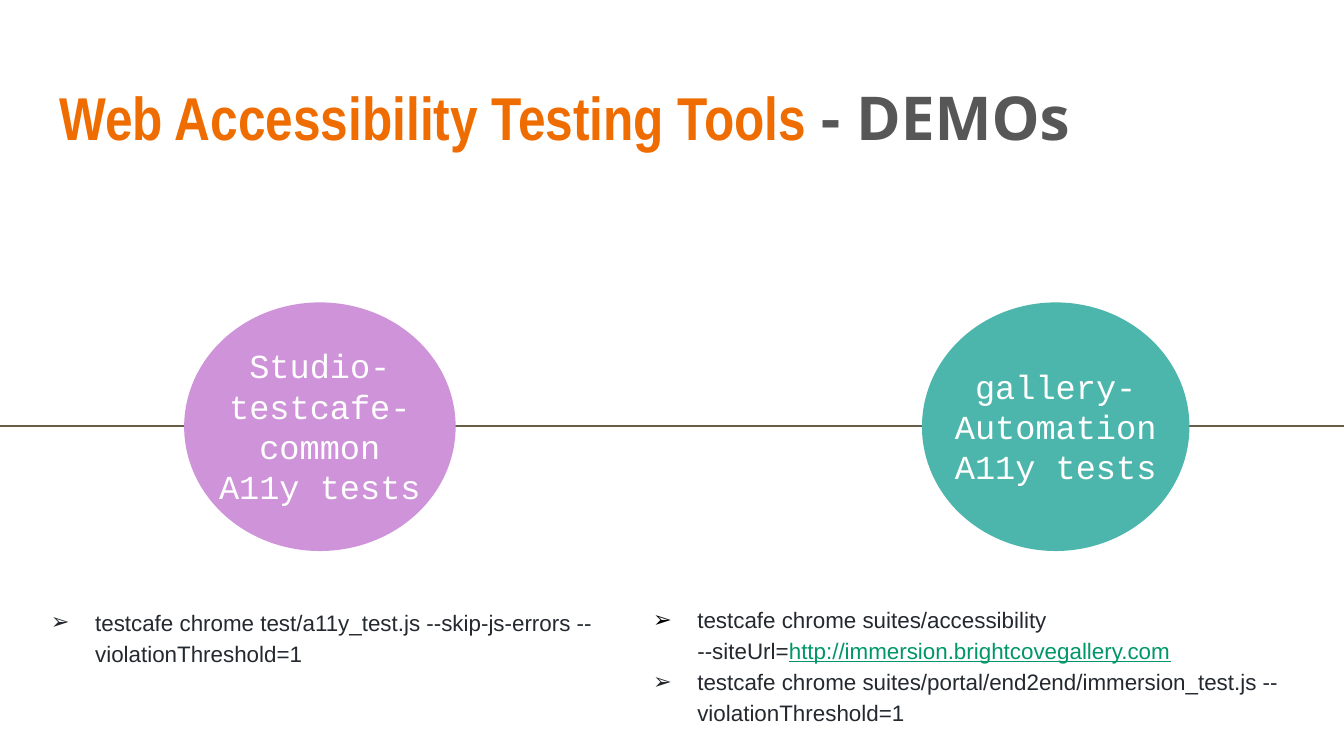
from lxml import etree
from pptx import Presentation
from pptx.dml.color import RGBColor
from pptx.enum.shapes import MSO_CONNECTOR, MSO_SHAPE
from pptx.enum.text import MSO_ANCHOR, MSO_AUTO_SIZE, PP_ALIGN
from pptx.oxml.ns import qn
from pptx.util import Inches, Pt

OVAL = MSO_SHAPE.OVAL
STRAIGHT = MSO_CONNECTOR.STRAIGHT
TOP, MIDDLE = MSO_ANCHOR.TOP, MSO_ANCHOR.MIDDLE
LEFT, CENTER = PP_ALIGN.LEFT, PP_ALIGN.CENTER
NO_FIT = MSO_AUTO_SIZE.NONE

INK = "24292F"
AXIS = 3.17
WIDE = Inches(10)


def rgb(code):
    return RGBColor.from_string(code)


def style(font, name, size, color):
    font.name = name
    font.size = Pt(size)
    font.color.rgb = rgb(color)


def set_frame(frame, anchor):
    frame.word_wrap = True
    frame.auto_size = NO_FIT
    frame.vertical_anchor = anchor
    frame.margin_left = frame.margin_right = Inches(0.1)
    frame.margin_top = frame.margin_bottom = Inches(0.1)


def add_box(slide, left, top, width, height, anchor):
    box = slide.shapes.add_textbox(
        Inches(left), Inches(top), Inches(width), Inches(height))
    set_frame(box.text_frame, anchor)
    return box.text_frame


def set_title(slide):
    title = slide.shapes.title
    title.left, title.top = Inches(0.34), Inches(0.48)
    title.width, title.height = Inches(9.32), Inches(0.77)
    set_frame(title.text_frame, MIDDLE)
    para = title.text_frame.paragraphs[0]
    para.alignment = LEFT
    parts = (("Web Accessibility Testing Tools ", "Arial Narrow", "EF6C00"),
             ("- DEMOs", "Open Sans", "575757"))
    for text, name, color in parts:
        run = para.add_run()
        run.text = text
        style(run.font, name, 32.4, color)
        run.font.bold = True


def add_axis(slide):
    line = slide.shapes.add_connector(
        STRAIGHT, Inches(-0.01), Inches(AXIS), WIDE, Inches(AXIS))
    line.line.color.rgb = rgb("695D46")
    line.line.width = Pt(1.5)
    etree.SubElement(line._element.spPr, qn("a:effectLst"))


def add_stop(slide, left, width, color, label_left, label_width, text):
    """Draw a circle on the axis with its label over it."""
    oval = slide.shapes.add_shape(
        OVAL, Inches(left), Inches(2.25), Inches(width), Inches(1.85))
    oval.shadow.inherit = False
    oval.fill.solid()
    oval.fill.fore_color.rgb = rgb(color)
    oval.line.fill.background()

    high = 1.4
    frame = add_box(slide, label_left, AXIS - high / 2, label_width, high, MIDDLE)
    frame.text = text
    for para in frame.paragraphs:
        para.alignment = CENTER
        for run in para.runs:
            style(run.font, "Courier New", 18, "FFFFFF")


def add_bullet(para, color):
    props = para._p.get_or_add_pPr()
    props.set("marL", str(Inches(0.5)))
    props.set("indent", str(Inches(-0.33)))
    tint = etree.SubElement(props, qn("a:buClr"))
    etree.SubElement(tint, qn("a:srgbClr"), val=color)
    etree.SubElement(props, qn("a:buFont"), typeface="Arial")
    etree.SubElement(props, qn("a:buChar"), char="➢")


def add_commands(slide, left, top, width, height, items):
    """Each item is a bullet colour, a command and a link shown after it."""
    frame = add_box(slide, left, top, width, height, TOP)
    for i, (color, text, link) in enumerate(items):
        para = frame.add_paragraph() if i else frame.paragraphs[0]
        add_bullet(para, color)
        para.line_spacing = 1.15
        para.font.size = Pt(12)
        run = para.add_run()
        run.text = text
        style(run.font, "Arial", 12, INK)
        if link:
            run = para.add_run()
            run.text = link
            style(run.font, "Arial", 12, "009668")
            run.font.underline = True


def main():
    deck = Presentation()
    deck.slide_width, deck.slide_height = WIDE, WIDE * 9 // 16
    slide = deck.slides.add_slide(deck.slide_layouts[5])
    add_axis(slide)
    set_title(slide)
    add_stop(slide, 1.37, 2.02, "CE93D8", 1.43, 1.9,
             "Studio-testcafe-common\nA11y tests")
    add_stop(slide, 6.86, 1.99, "4DB6AC", 6.98, 1.75,
             "gallery-\nAutomation\nA11y tests")
    add_commands(slide, 0.11, 4.4, 4.83, 0.7, [
        (INK, "testcafe chrome test/a11y_test.js --skip-js-errors "
              "--violationThreshold=1", "")])
    add_commands(slide, 4.59, 4.38, 5.41, 1.14, [
        ("000000", "testcafe chrome suites/accessibility --siteUrl=",
         "http://immersion.brightcovegallery.com"),
        (INK, "testcafe chrome suites/portal/end2end/immersion_test.js "
              "--violationThreshold=1", "")])
    deck.save("out.pptx")


if __name__ == "__main__":
    main()
